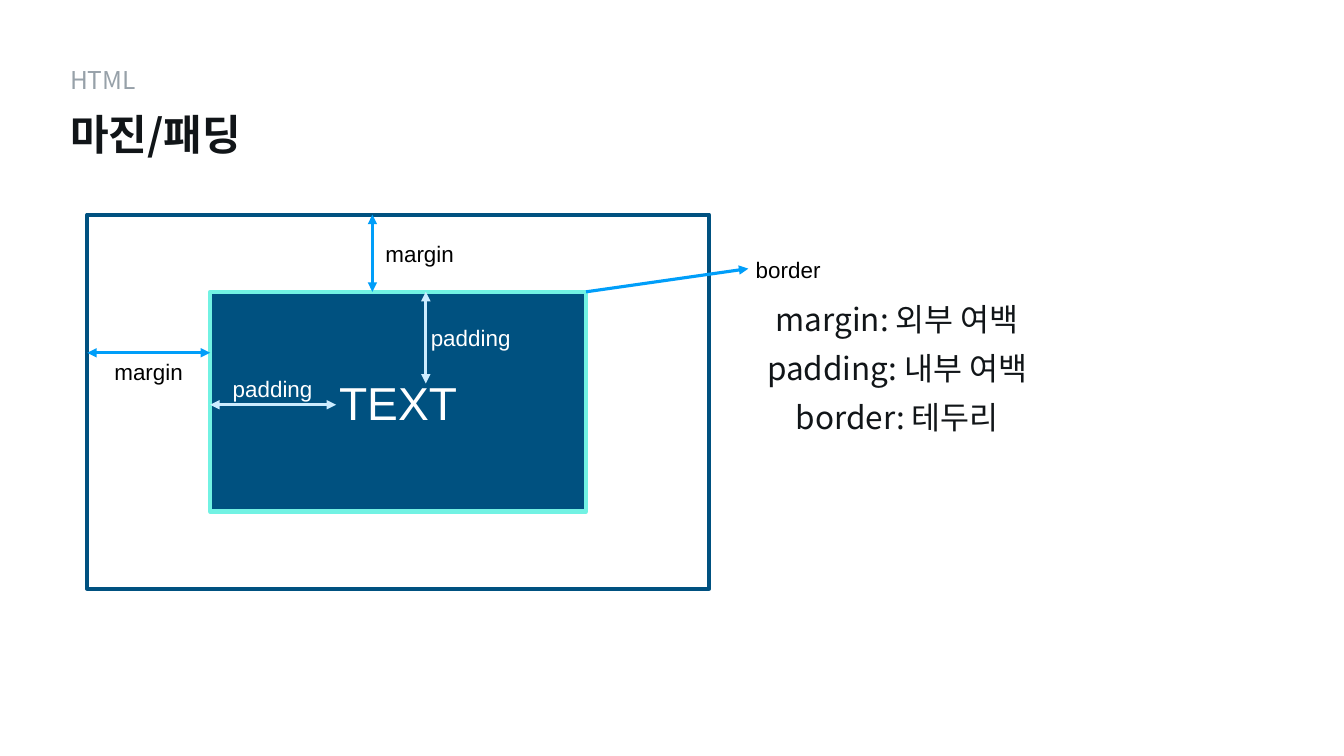
from pptx import Presentation
from pptx.dml.color import RGBColor
from pptx.enum import shapes, text
from pptx.oxml import ns
from pptx.util import Inches, Pt
from lxml import etree

WHITE = RGBColor(0xFF, 0xFF, 0xFF)
BLACK = RGBColor(0, 0, 0)
INK = RGBColor(0x11, 0x15, 0x18)
GRAY = RGBColor(0x97, 0xA1, 0xA9)
NAVY = RGBColor(0x00, 0x51, 0x80)
MINT = RGBColor(0x72, 0xF2, 0xE3)
BLUE = RGBColor(0x00, 0x9E, 0xF9)
PALE = RGBColor(0xCC, 0xEC, 0xFF)

KOREAN, LATIN = "Noto Sans CJK KR", "Arial"
LEFT, CENTER = text.PP_ALIGN.LEFT, text.PP_ALIGN.CENTER
TOP, MIDDLE = text.MSO_ANCHOR.TOP, text.MSO_ANCHOR.MIDDLE

HEADINGS = [
    ("HTML", (1.33, 1.23, 5.84, 0.7), 35, GRAY, False),
    ("마진/패딩", (1.33, 2.09, 11.52, 1.12), 60, INK, True),
]
DEFINITIONS = ["margin: 외부 여백", "padding: 내부 여백", "border: 테두리"]
OUTER = (1.73, 4.26, 12.34, 7.42)
INNER = (4.17, 5.79, 7.46, 4.36)
LABELS = [
    ("margin", 7.55, 4.71, BLACK, LEFT),
    ("margin", 2.05, 7.06, BLACK, CENTER),
    ("padding", 4.51, 7.39, WHITE, CENTER),
    ("padding", 8.44, 6.38, WHITE, CENTER),
    ("border", 14.74, 5.03, BLACK, CENTER),
]
outer_left, outer_top = OUTER[:2]
inner_left, inner_top = INNER[:2]
inner_right = inner_left + INNER[2]
ARROWS = [
    ((7.39, outer_top), (7.39, inner_top), BLUE, True),
    ((8.45, inner_top), (8.45, 7.61), PALE, True),
    ((outer_left, 7), (inner_left, 7), BLUE, True),
    ((6.67, 8.03), (inner_left, 8.03), PALE, True),
    ((inner_right, inner_top), (14.85, 5.33), BLUE, False),
]


def style_paragraph(para, size, color, font, bold=False, align=LEFT):
    para.alignment = align
    for span in para.runs:
        span.font.size = Pt(size)
        span.font.name = font
        span.font.bold = bold
        span.font.color.rgb = color
        east_asian = etree.SubElement(span.font._element, ns.qn("a:ea"))
        east_asian.set("typeface", font)


def add_text(page, lines, place, size, color, font, bold=False,
             align=LEFT, anchor=TOP, inset=None, spacing=None):
    box = page.shapes.add_textbox(*map(Inches, place))
    frame = box.text_frame
    frame.word_wrap = True
    frame.vertical_anchor = anchor
    if inset is not None:
        frame.margin_left = frame.margin_right = Inches(inset)
        frame.margin_top = frame.margin_bottom = Inches(inset)
    frame.text = "\n".join(lines)
    for para in frame.paragraphs:
        style_paragraph(para, size, color, font, bold, align)
        if spacing:
            para.line_spacing = spacing


def add_rectangle(page, place, fill, line):
    box = page.shapes.add_shape(shapes.MSO_SHAPE.RECTANGLE, *map(Inches, place))
    box.shadow.inherit = False
    box.fill.solid()
    box.fill.fore_color.rgb = fill
    box.line.color.rgb = line
    box.line.width = Pt(6)
    return box


def add_arrow(page, start, end, color, both_ends):
    arrow = page.shapes.add_connector(
        shapes.MSO_CONNECTOR.STRAIGHT, *map(Inches, start + end))
    arrow.line.color.rgb = color
    arrow.line.width = Pt(4.5)
    outline = arrow.line._get_or_add_ln()
    for tag in ["a:headEnd", "a:tailEnd"] if both_ends else ["a:tailEnd"]:
        etree.SubElement(outline, ns.qn(tag)).set("type", "triangle")
    etree.SubElement(arrow._element.spPr, ns.qn("a:effectLst"))


def main():
    deck = Presentation()
    deck.slide_width, deck.slide_height = Inches(26.67), Inches(15)
    page = deck.slides.add_slide(deck.slide_layouts[6])

    for words, place, size, color, bold in HEADINGS:
        add_text(page, [words], place, size, color, KOREAN, bold,
                 anchor=MIDDLE, inset=0.06)
    add_text(page, DEFINITIONS, (14.61, 5.67, 6.39, 3.07), 45, INK, KOREAN,
             align=CENTER, inset=0.06, spacing=1.3)

    add_rectangle(page, OUTER, WHITE, NAVY)
    content = add_rectangle(page, INNER, NAVY, MINT)
    content.text_frame.text = "TEXT"
    content.text_frame.vertical_anchor = MIDDLE
    style_paragraph(content.text_frame.paragraphs[0], 66, WHITE, LATIN,
                    align=CENTER)

    for arrow in ARROWS:
        add_arrow(page, *arrow)
    for words, left, top, color, align in LABELS:
        add_text(page, [words], (left, top, 1.8, 0.64), 32, color, LATIN,
                 align=align)
    deck.save("out.pptx")


if __name__ == "__main__":
    main()
